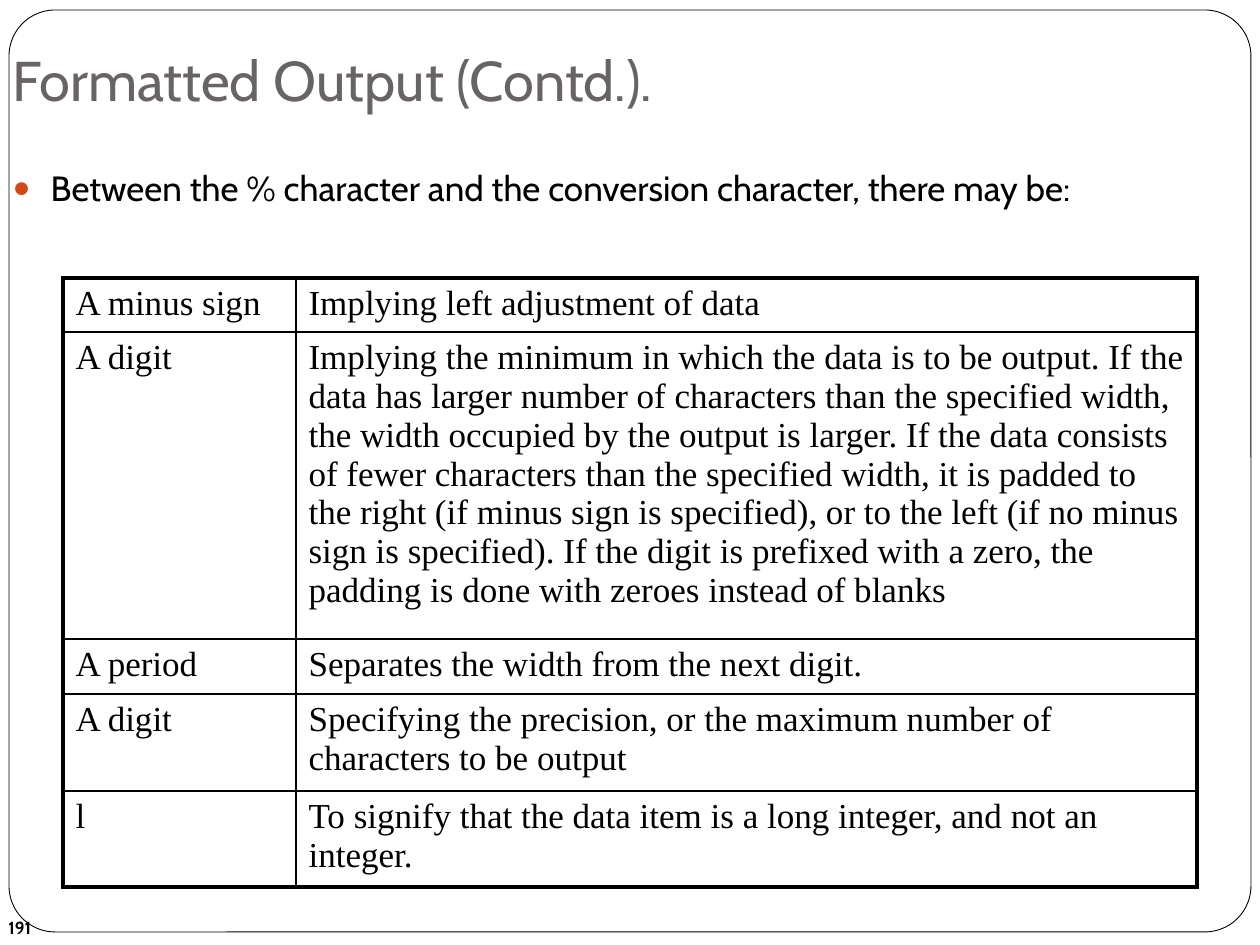
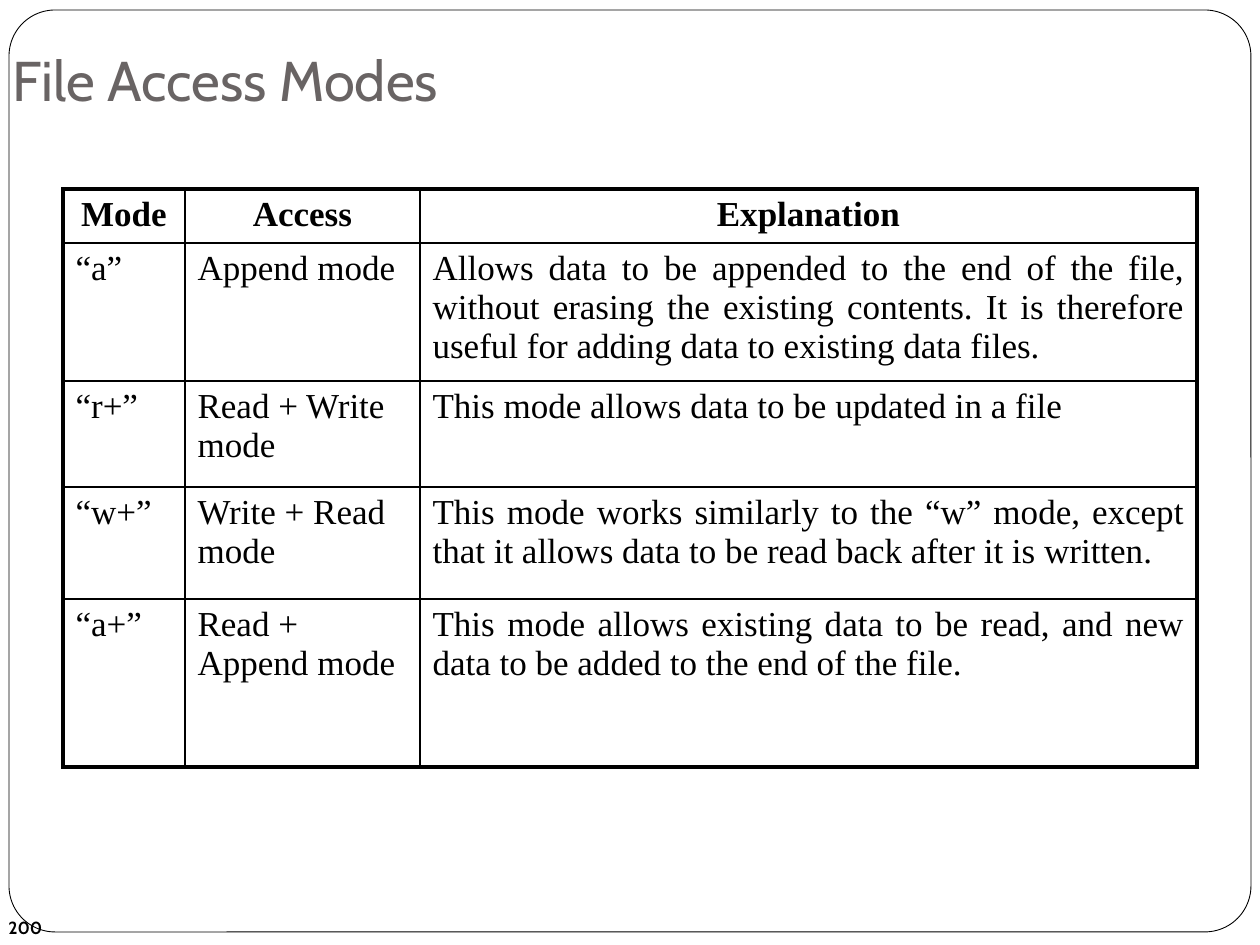
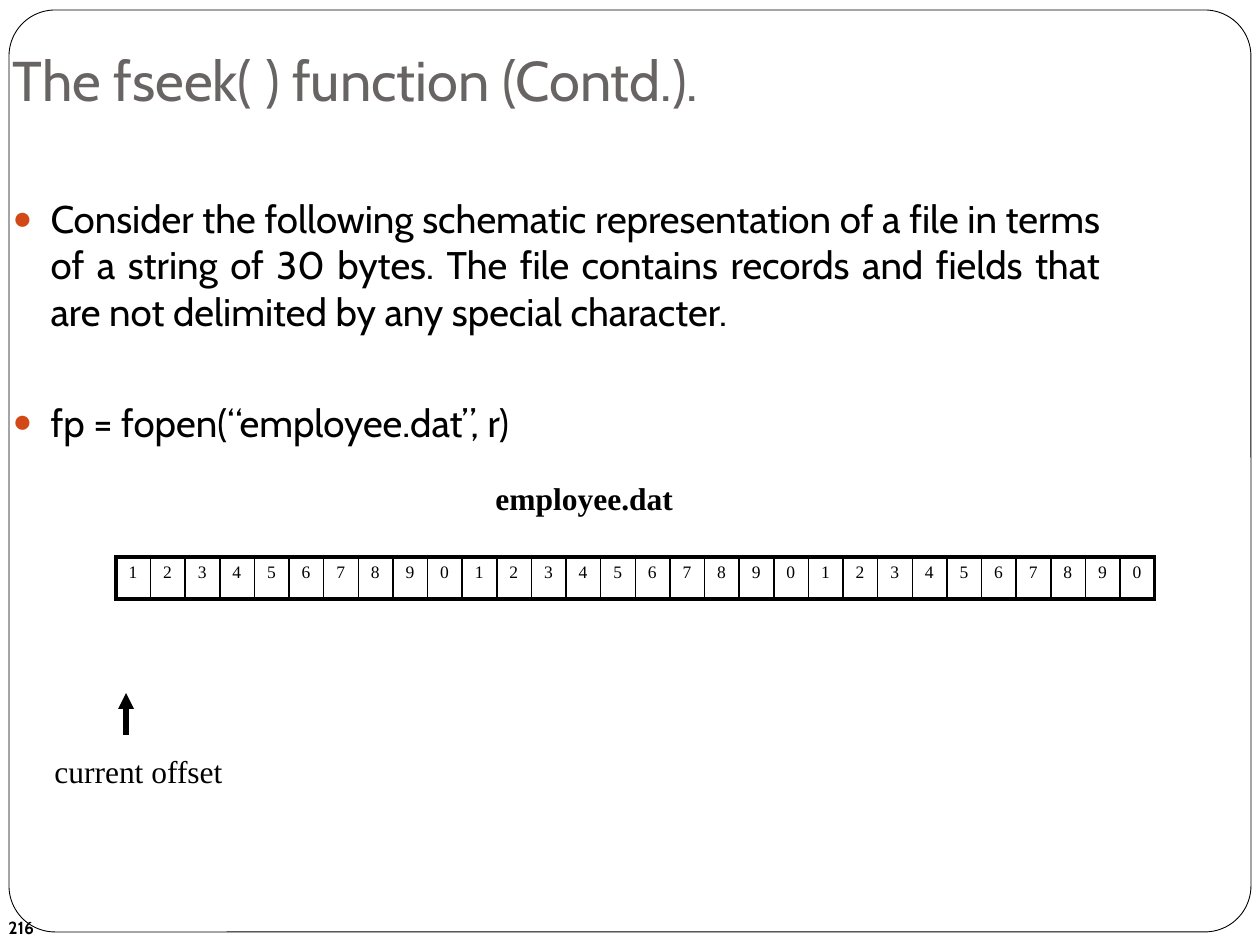
from lxml import etree
from pptx import Presentation
from pptx import util as u
from pptx.dml.color import RGBColor
from pptx.enum import shapes, text
from pptx.oxml.ns import qn

PX = 914400 / 126
BLACK, WHITE, GRAY, ORANGE = "000000", "FFFFFF", "696464", "D34817"
SANS, SERIF = "Cabin", "Times New Roman"
LEFT, CENTER, JUSTIFY = text.PP_ALIGN.LEFT, text.PP_ALIGN.CENTER, text.PP_ALIGN.JUSTIFY
TOP, MIDDLE, BOTTOM = text.MSO_ANCHOR.TOP, text.MSO_ANCHOR.MIDDLE, text.MSO_ANCHOR.BOTTOM


def px(n):
    return u.Emu(round(n * PX))


def rgb(color):
    return RGBColor.from_string(color)


def child(parent, tag, **attrs):
    return etree.SubElement(parent, qn(tag), {k: str(v) for k, v in attrs.items()})


def add_bullet(p):
    pPr = p._p.get_or_add_pPr()
    pPr.set("marL", str(px(38)))
    pPr.set("indent", str(px(-38)))
    child(child(pPr, "a:buClr"), "a:srgbClr", val=ORANGE)
    child(pPr, "a:buSzPct", val=85000)
    child(pPr, "a:buChar", char="●")


def write(p, words, size=20, font=SERIF, color=BLACK, bold=False, align=LEFT,
          before=0, spacing=1.0, bullet=False):
    if bullet:
        add_bullet(p)
    p.alignment, p.space_before, p.line_spacing = align, u.Pt(before), spacing
    r = p.add_run()
    r.text = words
    r.font.size, r.font.name, r.font.bold = u.Pt(size), font, bold
    r.font.color.rgb = rgb(color)


def set_borders(cell, widths):
    """Draw the left, right, top and bottom edges at the given point widths."""
    tcPr = cell._tc.get_or_add_tcPr()
    for tag, width in zip(("a:lnL", "a:lnR", "a:lnT", "a:lnB"), widths):
        ln = child(tcPr, tag, w=u.Pt(width))
        child(child(ln, "a:solidFill"), "a:srgbClr", val=BLACK)


class Deck:
    TITLE_AND_BODY, TITLE_ONLY = 1, 5
    OUTER, INNER = 2.25, 1

    def __init__(self):
        self.prs = Presentation()
        self.prs.slide_width, self.prs.slide_height = px(1260), px(945)
        self.s = None

    def slide(self, title, number, layout=TITLE_AND_BODY):
        first = self.s is None
        self.s = self.prs.slides.add_slide(self.prs.slide_layouts[layout])
        if first:
            self.master_frame()
        tf = self.place(self.s.shapes.title, 0, 0, 1042, 126, BOTTOM)
        tf.margin_bottom = px(13)
        write(tf.paragraphs[0], title, size=32, font=SANS, color=GRAY)
        self.label(number, -4, 903, 294, 50, anchor=MIDDLE, size=10, font=SANS, bold=True)

    def master_frame(self):
        """Put the rounded frame behind everything on the slide master."""
        sp = self.s.shapes.add_shape(shapes.MSO_SHAPE.ROUNDED_RECTANGLE,
                                     px(9), px(10), px(1242), px(922))
        sp.adjustments[0] = 0.05
        sp.shadow.inherit = False
        sp.fill.solid()
        sp.fill.fore_color.rgb = rgb(WHITE)
        sp.line.color.rgb = rgb(BLACK)
        sp.line.width = u.Pt(0.5)
        self.prs.slide_master.shapes.element.insert(2, sp.element)

    def place(self, sp, x, y, w, h, anchor=TOP):
        sp.left, sp.top, sp.width, sp.height = px(x), px(y), px(w), px(h)
        tf = sp.text_frame
        tf.word_wrap, tf.auto_size = True, text.MSO_AUTO_SIZE.NONE
        tf.vertical_anchor = anchor
        return tf

    def bullets(self, items, x, y, w, h, gap=0, **fmt):
        tf = self.place(self.s.placeholders[1], x, y, w, h)
        for i, item in enumerate(items):
            p = tf.add_paragraph() if i else tf.paragraphs[0]
            write(p, item, font=SANS, bullet=True, before=gap if i else 0, **fmt)

    def label(self, words, x, y, w, h, anchor=TOP, **fmt):
        sp = self.s.shapes.add_textbox(px(x), px(y), px(w), px(h))
        write(self.place(sp, x, y, w, h, anchor).paragraphs[0], words, **fmt)

    def table(self, rows, x, y, widths, heights, aligns=None, header=False, size=20):
        n_rows, n_cols = len(rows), len(widths)
        aligns = aligns or [LEFT] * n_cols
        table = self.s.shapes.add_table(n_rows, n_cols, px(x), px(y),
                                        px(sum(widths)), px(sum(heights))).table
        table.first_row = table.horz_banding = False
        for column, width in zip(table.columns, widths):
            column.width = px(width)
        for i, row in enumerate(rows):
            table.rows[i].height = px(heights[i])
            head = header and i == 0
            for j, words in enumerate(row):
                cell = table.cell(i, j)
                edges = j == 0, j == n_cols - 1, i == 0, i == n_rows - 1
                set_borders(cell, [self.OUTER if e else self.INNER for e in edges])
                cell.fill.background()
                write(cell.text_frame.paragraphs[0], words, size=size, bold=head,
                      align=CENTER if head else aligns[j])

    def arrow(self, x1, y1, x2, y2):
        line = self.s.shapes.add_connector(shapes.MSO_CONNECTOR.STRAIGHT,
                                           px(x1), px(y1), px(x2), px(y2))
        line.line.color.rgb = rgb(BLACK)
        line.line.width = u.Pt(3)
        child(line.line._get_or_add_ln(), "a:tailEnd", type="triangle")
        child(line.element.spPr, "a:effectLst")


def formatted_output(deck):
    deck.slide("Formatted Output (Contd.).", "191")
    deck.bullets(["Between the % character and the conversion character, there may be:"],
                 0, 168, 1166, 73, spacing=0.8)
    deck.table([
        ("A minus sign", "Implying left adjustment of data"),
        ("A digit", "Implying the minimum in which the data is to be output. If the data has "
                    "larger number of characters than the specified width, the width occupied "
                    "by the output is larger. If the data consists of fewer characters than "
                    "the specified width, it is padded to the right (if minus sign is "
                    "specified), or to the left (if no minus sign is specified). If the digit "
                    "is prefixed with a zero, the padding is done with zeroes instead of "
                    "blanks"),
        ("A period", "Separates the width from the next digit."),
        ("A digit", "Specifying the precision, or the maximum number of characters to be "
                    "output"),
        ("l", "To signify that the data item is a long integer, and not an integer."),
    ], 63, 278, [233, 901], [54, 307, 55, 97, 96])


def file_access_modes(deck):
    deck.slide("File Access Modes", "200", Deck.TITLE_ONLY)
    deck.table([
        ("Mode", "Access", "Explanation"),
        ("“a”", "Append mode", "Allows data to be appended to the end of the file, without "
                               "erasing the existing contents. It is therefore useful for "
                               "adding data to existing data files."),
        ("“r+”", "Read + Write mode", "This mode allows data to be updated in a file"),
        ("“w+”", "Write + Read mode", "This mode works similarly to the “w” mode, except that "
                                      "it allows data to be read back after it is written."),
        ("“a+”", "Read + Append mode", "This mode allows existing data to be read, and new "
                                       "data to be added to the end of the file."),
    ], 63, 189, [122, 235, 777], [54, 138, 106, 112, 168],
        aligns=[LEFT, LEFT, JUSTIFY], header=True)


def fseek_function(deck):
    deck.slide("The fseek( ) function (Contd.).", "216")
    deck.bullets([
        "Consider the following schematic representation of a file in terms of a string of "
        "30 bytes. The file contains records and fields that are not delimited by any "
        "special character.",
        "fp = fopen(“employee.dat”, r)",
    ], 0, 189, 1113, 378, gap=37, size=22, align=JUSTIFY)
    deck.arrow(126, 735, 126, 693)
    deck.label("current offset", 42, 746, 220, 50, size=18)
    deck.label("employee.dat", 483, 473, 220, 50, size=18, bold=True)
    count = 30
    file_bytes = [str(n % 10) for n in range(1, count + 1)]
    deck.table([file_bytes], 116, 557, [1040 / count] * count, [42], size=10)


def main():
    deck = Deck()
    formatted_output(deck)
    file_access_modes(deck)
    fseek_function(deck)
    deck.prs.save("out.pptx")


if __name__ == "__main__":
    main()
